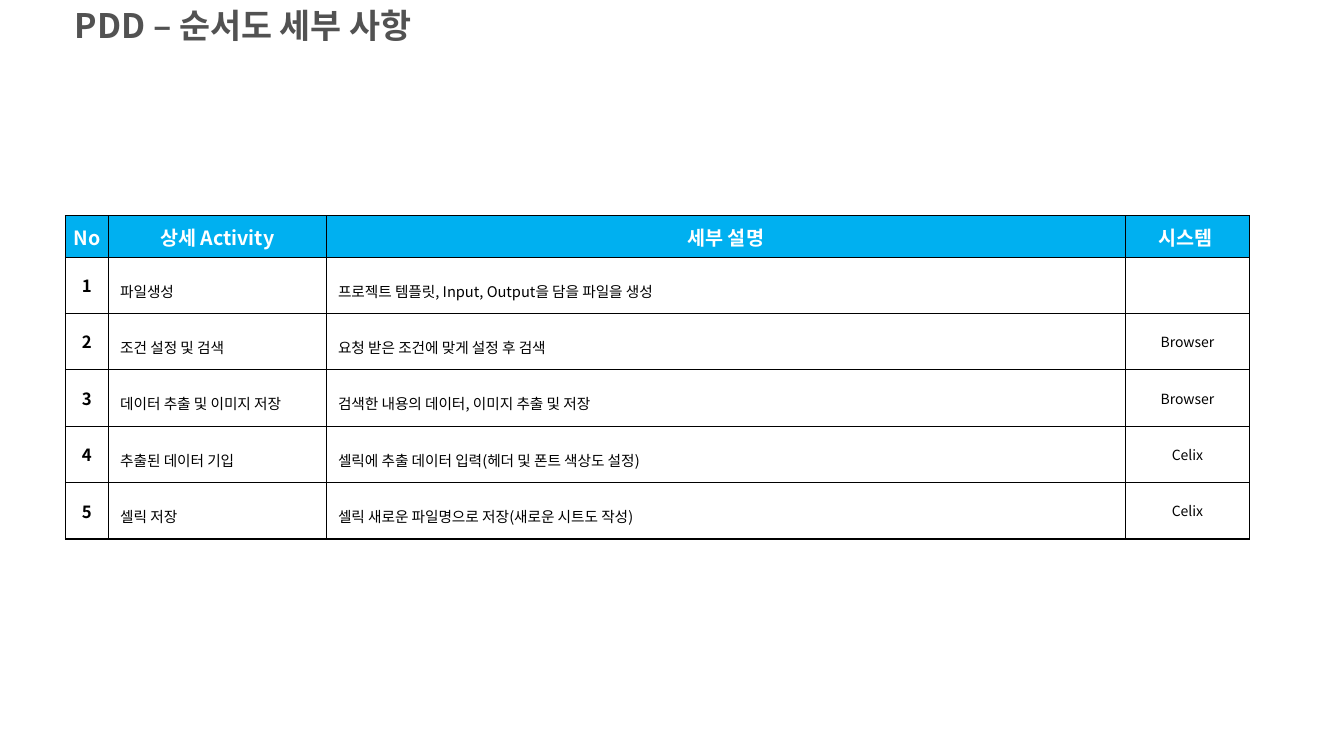
from lxml.etree import SubElement
from pptx import Presentation
from pptx.dml.color import RGBColor
from pptx.enum.text import MSO_ANCHOR as Anchor, MSO_AUTO_SIZE as AutoSize, PP_ALIGN as Align
from pptx.oxml import parse_xml
from pptx.oxml.ns import nsdecls, qn
from pptx.util import Cm, Pt

FONT = "Noto Sans CJK KR"
BLACK, WHITE, GREY, BLUE = "000000", "FFFFFF", "525252", "00B0F0"
TITLE = "PDD – 순서도 세부 사항"
HEADERS = ["No", "상세 Activity", "세부 설명", "시스템"]
STEPS = [
    ("파일생성", "프로젝트 템플릿, Input, Output을 담을 파일을 생성", ""),
    ("조건 설정 및 검색", "요청 받은 조건에 맞게 설정 후 검색", "Browser"),
    ("데이터 추출 및 이미지 저장", "검색한 내용의 데이터, 이미지 추출 및 저장", "Browser"),
    ("추출된 데이터 기입", "셀릭에 추출 데이터 입력(헤더 및 폰트 색상도 설정)", "Celix"),
    ("셀릭 저장", "셀릭 새로운 파일명으로 저장(새로운 시트도 작성)", "Celix"),
]
COLUMN_WIDTHS = [1.08, 5.49, 20.14, 3.13]
HEADER_HEIGHT, STEP_HEIGHT = 1.04, 1.42
INSET, TEXT_INSET = 0.1, 0.3

TITLE_FORMAT = {"size": Pt(24.1), "bold": True}
HEADER_FORMAT = {"size": Pt(14), "bold": True}
NUMBER_FORMAT = {"size": Pt(12), "bold": True}
DETAIL_FORMAT = {"size": Pt(10.5), "bold": False}
SYSTEM_FORMAT = {"size": Pt(10), "bold": False}
CENTERED = {"alignment": Align.CENTER}
SPACED = {"alignment": Align.LEFT, "line_spacing": 1.5}
STEP_STYLES = [
    (NUMBER_FORMAT, CENTERED, INSET),
    (DETAIL_FORMAT, SPACED, TEXT_INSET),
    (DETAIL_FORMAT, SPACED, TEXT_INSET),
    (SYSTEM_FORMAT, CENTERED, INSET),
]


def color(value):
    """Turn a hex string into a colour."""
    return RGBColor.from_string(value)


def apply(target, values):
    """Set each named attribute of the target."""
    for name, value in values.items():
        setattr(target, name, value)


def write(text_frame, text, font_format, paragraph_format, text_color):
    """Write one formatted paragraph, with the font for Korean letters too."""
    paragraph = text_frame.paragraphs[0]
    apply(paragraph, paragraph_format)
    run = paragraph.add_run()
    run.text = text
    apply(run.font, {"name": FONT, **font_format})
    run.font.color.rgb = color(text_color)
    SubElement(run._r.get_or_add_rPr(), qn("a:ea"), typeface=FONT)


def add_borders(cell, line_color=BLACK, width=Pt(1)):
    """Draw a solid line on all four sides of a cell."""
    properties = cell._tc.get_or_add_tcPr()
    for index, side in enumerate(("lnL", "lnR", "lnT", "lnB")):
        properties.insert(index, parse_xml(
            f'<a:{side} {nsdecls("a")} w="{width}"><a:solidFill>'
            f'<a:srgbClr val="{line_color}"/></a:solidFill></a:{side}>'))


def fill_cell(cell, text, style, text_color, fill_color):
    """Give a cell its text, insets, fill and borders."""
    font_format, paragraph_format, left_inset = style
    apply(cell, {
        "vertical_anchor": Anchor.MIDDLE,
        "margin_left": Cm(left_inset),
        "margin_right": Cm(INSET),
        "margin_top": Cm(INSET),
        "margin_bottom": Cm(INSET),
    })
    cell.fill.solid()
    cell.fill.fore_color.rgb = color(fill_color)
    add_borders(cell)
    if text:
        write(cell.text_frame, text, font_format, paragraph_format, text_color)


def add_title(slide):
    """Place and format the title placeholder."""
    title = slide.shapes.title
    apply(title, {"left": Cm(1.63), "top": Cm(0), "width": Cm(13.03), "height": Cm(1.3)})
    apply(title.text_frame, {
        "word_wrap": True,
        "auto_size": AutoSize.NONE,
        "vertical_anchor": Anchor.TOP,
    })
    write(title.text_frame, TITLE, TITLE_FORMAT, {"alignment": Align.LEFT}, GREY)


def add_step_table(slide):
    """Add the table of flowchart steps."""
    heights = [HEADER_HEIGHT] + [STEP_HEIGHT] * len(STEPS)
    table = slide.shapes.add_table(
        len(heights), len(HEADERS), Cm(1.65), Cm(5.44),
        Cm(sum(COLUMN_WIDTHS)), Cm(sum(heights))).table
    table.horz_banding = False
    for column, width in zip(table.columns, COLUMN_WIDTHS):
        column.width = Cm(width)
    for row, height in zip(table.rows, heights):
        row.height = Cm(height)
    for index, text in enumerate(HEADERS):
        left_inset = 0 if index == len(HEADERS) - 1 else INSET
        fill_cell(table.cell(0, index), text, (HEADER_FORMAT, CENTERED, left_inset), WHITE, BLUE)
    for number, step in enumerate(STEPS, 1):
        for index, (text, style) in enumerate(zip((str(number), *step), STEP_STYLES)):
            fill_cell(table.cell(number, index), text, style, BLACK, WHITE)


def main():
    """Build the slide and save it."""
    presentation = Presentation()
    apply(presentation, {"slide_width": Cm(33.87), "slide_height": Cm(19.05)})
    slide = presentation.slides.add_slide(presentation.slide_layouts[5])
    add_step_table(slide)
    add_title(slide)
    presentation.save("out.pptx")


if __name__ == "__main__":
    main()
